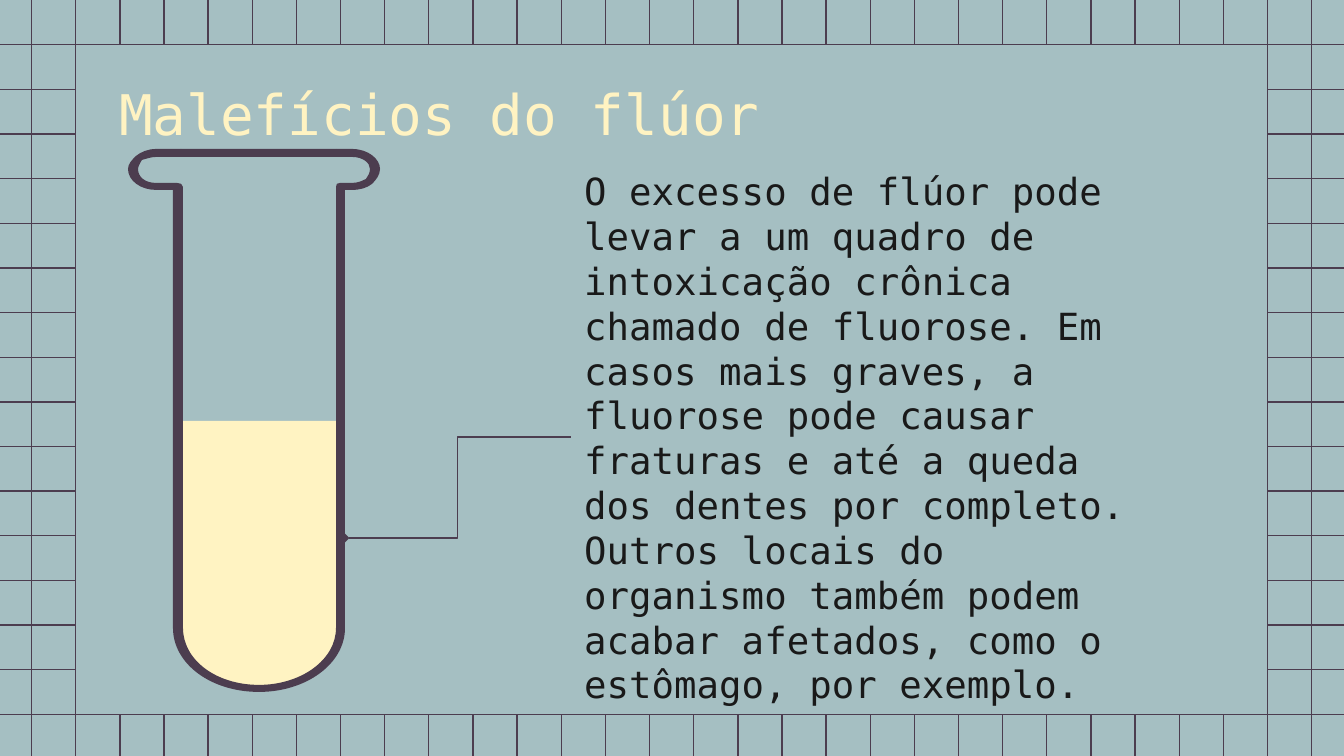
import pptx
import pptx.dml.color
import pptx.enum.shapes
import pptx.enum.text
import pptx.oxml
import pptx.oxml.ns
import pptx.util

EMU_PER_PX = 914400 / 134.4
WIDTH, HEIGHT = 1344, 756
GRID_LEFT, GRID_TOP = 31.6, 44.7
COLUMN_STEP, ROW_STEP = 44.14, 44.65
COLUMNS, ROWS = 30, 16

BODY = (
    "O excesso de flúor pode levar a um quadro de intoxicação crônica chamado de fluorose. "
    "Em casos mais graves, a fluorose pode causar fraturas e até a queda dos dentes por completo. "
    "Outros locais do organismo também podem acabar afetados, como o estômago, por exemplo."
)

LIQUID = [
    [(177, 421)], [(177, 628)],
    [(177, 661), (214, 689), (259, 689)],
    [(304, 689), (340, 661), (340, 628)],
    [(340, 421)],
]

GLASS = [
    [(156, 149)],
    [(148, 149), (141, 152), (136, 156)],
    [(132, 160), (128, 164), (128, 169)],
    [(128, 181), (141, 190), (156, 190)],
    [(173, 190)], [(173, 628)],
    [(173, 664), (211, 692), (259, 692)],
    [(306, 692), (345, 664), (345, 628)],
    [(345, 190)], [(352, 190)],
    [(360, 190), (367, 188), (372, 184)],
    [(376, 180), (380, 175), (380, 169)],
    [(380, 159), (368, 149), (352, 149)],
    [(337, 149)],
    [(335, 149), (332, 151), (332, 153)],
    [(332, 155), (335, 157), (337, 157)],
    [(352, 157)],
    [(363, 157), (370, 163), (370, 169)],
    [(370, 173), (368, 176), (366, 179)],
    [(362, 181), (358, 183), (352, 183)],
    [(340, 183)],
    [(337, 183), (336, 184), (336, 187)],
    [(336, 628)],
    [(336, 660), (301, 685), (259, 685)],
    [(216, 685), (183, 660), (183, 628)],
    [(183, 187)],
    [(183, 184), (180, 183), (177, 183)],
    [(156, 183)],
    [(145, 183), (138, 177), (138, 169)],
    [(138, 167), (140, 163), (142, 160)],
    [(146, 159), (151, 157), (156, 157)],
    [(181, 157)],
    [(184, 157), (187, 155), (187, 153)],
    [(187, 151), (184, 149), (181, 149)],
]

RIM = [
    [(181, 149)],
    [(179, 149), (176, 151), (176, 153)],
    [(176, 155), (179, 157), (181, 157)],
    [(337, 157)],
    [(339, 157), (341, 155), (341, 153)],
    [(341, 151), (339, 149), (337, 149)],
]


def px(value):
    return pptx.util.Emu(round(value * EMU_PER_PX))


def color(value):
    return pptx.dml.color.RGBColor.from_string(value)


def element(tag, attributes=""):
    return pptx.oxml.parse_xml(f'<a:{tag} {pptx.oxml.ns.nsdecls("a")} {attributes}/>')


class SlideBuilder:
    """Draws styled elements on the current slide, with lengths in px."""

    font = "DejaVu Sans Mono"
    background = "A5BFC2"
    ink = "4C3D4F"
    cream = "FFF3C2"
    dark = "191919"
    line_width = 0.75
    inset = pptx.util.Inches(0.1)

    def __init__(self, slide):
        self.slide = slide
        slide.background.fill.solid()
        slide.background.fill.fore_color.rgb = color(self.background)

    def paint(self, shape, fill):
        shape.shadow.inherit = False
        shape.fill.solid()
        shape.fill.fore_color.rgb = color(fill)
        shape.line.fill.background()

    def stroke(self, shape):
        shape.line.color.rgb = color(self.ink)
        shape.line.width = pptx.util.Pt(self.line_width)

    def panel(self, left, top, right, bottom):
        shape = self.slide.shapes.add_shape(
            pptx.enum.shapes.MSO_SHAPE.RECTANGLE,
            px(left), px(top), px(right - left), px(bottom - top))
        self.paint(shape, self.background)
        self.stroke(shape)

    def line(self, start, end, elbow=False, tail=None):
        kinds = pptx.enum.shapes.MSO_CONNECTOR
        connector = self.slide.shapes.add_connector(
            kinds.ELBOW if elbow else kinds.STRAIGHT, *map(px, start + end))
        self.stroke(connector)
        properties = connector._element.spPr
        if tail:
            properties.get_or_add_ln().append(element("tailEnd", f'type="{tail}"'))
        properties.append(element("effectLst"))

    def outline(self, segments, fill):
        ends = [(px(x), px(y)) for x, y in (segment[-1] for segment in segments)]
        builder = self.slide.shapes.build_freeform(*ends[0], scale=1.0)
        builder.add_line_segments(ends[1:], close=True)
        shape = builder.convert_to_shape()
        self.paint(shape, fill)
        lines = list(shape._element.iter(pptx.oxml.ns.qn("a:lnTo")))
        for line, segment in zip(lines, segments[1:]):
            if len(segment) == 3:
                curve = element("cubicBezTo")
                for x, y in segment:
                    curve.append(element(
                        "pt", f'x="{px(x) - shape.left}" y="{px(y) - shape.top}"'))
                line.getparent().replace(line, curve)

    def text(self, left, top, width, height, words, size, ink, anchor, spacing=None):
        shape = self.slide.shapes.add_textbox(px(left), px(top), px(width), px(height))
        frame = shape.text_frame
        frame.word_wrap = True
        frame.vertical_anchor = anchor
        frame.margin_left = frame.margin_right = self.inset
        frame.margin_top = frame.margin_bottom = self.inset
        paragraph = frame.paragraphs[0]
        paragraph.text = words
        paragraph.font.name = self.font
        paragraph.font.size = pptx.util.Pt(size)
        paragraph.font.color.rgb = color(ink)
        if spacing:
            paragraph.line_spacing = pptx.util.Pt(spacing)


def main():
    presentation = pptx.Presentation()
    presentation.slide_width, presentation.slide_height = px(WIDTH), px(HEIGHT)
    builder = SlideBuilder(presentation.slides.add_slide(presentation.slide_layouts[6]))
    anchors = pptx.enum.text.MSO_ANCHOR

    columns = [GRID_LEFT + COLUMN_STEP * index for index in range(COLUMNS)]
    rows = [GRID_TOP + ROW_STEP * index for index in range(ROWS)]
    for x in columns:
        builder.line((x, -11), (x, HEIGHT))
    for y in rows:
        builder.line((0, y), (WIDTH, y))
    builder.panel(columns[1], rows[0], columns[-2], rows[-1])

    builder.text(106, 66, 1133, 85, "Malefícios do flúor", 30, builder.cream, anchors.TOP)
    builder.text(571, 185, 601, 505, BODY, 20, builder.dark, anchors.MIDDLE, spacing=24)
    builder.line((571, 437), (344, 538), elbow=True, tail="diamond")

    builder.outline(LIQUID, builder.cream)
    builder.outline(GLASS, builder.ink)
    builder.outline(RIM, builder.ink)

    presentation.save("out.pptx")


if __name__ == "__main__":
    main()
